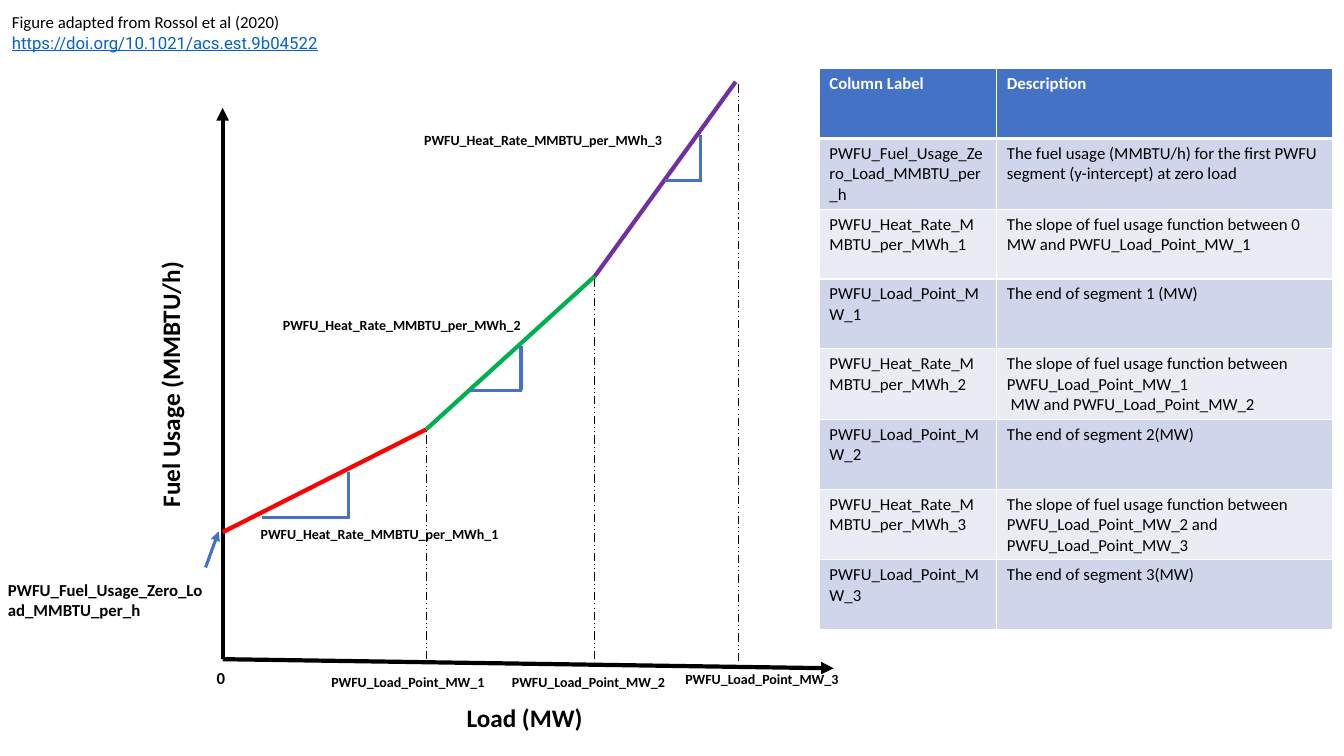
from lxml import etree
from pptx import Presentation
from pptx import util as u
from pptx.dml.color import RGBColor
from pptx.enum import dml, shapes, text
from pptx.oxml.ns import qn

C = {"black": "000000", "white": "FFFFFF", "blue": "4472C4", "red": "FF0000",
     "green": "00B050", "purple": "7030A0", "link": "0563C1",
     "band1": "CFD5EA", "band2": "E9EBF5"}

prs = Presentation()
prs.slide_width, prs.slide_height = u.Cm(33.87), u.Cm(19.05)
s = prs.slides.add_slide(prs.slide_layouts[6])


def write(tf, txt, size=12, color="black", bold=False, font="Calibri"):
    """Fill a text frame, one paragraph per line."""
    tf.text = txt
    for p in tf.paragraphs:
        for r in p.runs:
            r.font.name, r.font.size, r.font.bold = font, u.Pt(size), bold
            r.font.color.rgb = RGBColor.from_string(C[color])


def line(x1, y1, x2, y2, color="black", width=3, arrow=False, dash=None):
    ln = s.shapes.add_connector(shapes.MSO_CONNECTOR.STRAIGHT,
                                u.Cm(x1), u.Cm(y1), u.Cm(x2), u.Cm(y2))
    ln.line.color.rgb = RGBColor.from_string(C[color])
    ln.line.width = u.Pt(width)
    if dash:
        ln.line.dash_style = dash
    spPr = ln._element.spPr
    if arrow:
        etree.SubElement(spPr.find(qn("a:ln")), qn("a:tailEnd"), type="triangle")
    etree.SubElement(spPr, qn("a:effectLst"))


# Axes
x0, y0 = 5.61, 16.61
line(x0, y0, 21.01, 16.84, arrow=True)
line(x0, y0, x0, 2.72, arrow=True)

# Piecewise fuel usage curve
points = [(x0, 13.41), (10.74, 10.82), (14.99, 6.96), (18.54, 2.06)]
for start, end, color in zip(points, points[1:], ("red", "green", "purple")):
    line(*start, *end, color)

# Load point drop lines
for x, bottom, top in [(10.74, y0, 10.87), (14.99, y0, 7.04), (18.62, 16.66, 2.11)]:
    line(x, bottom, x, top, width=0.75, dash=dml.MSO_LINE.DASH_DOT_DOT)

# Slope triangles
for left, right, base, top in [(6.6, 8.79, 13.03, 11.89), (11.84, 13.13, 9.83, 8.71),
                               (16.76, 17.65, 4.55, 3.4)]:
    line(left, base, right + 0.03, base, "blue", 2.25)
    line(right, base, right, top, "blue", 2.25)

# Arrow to the intercept
line(5.18, 14.3, 5.51, 13.39, "blue", 2.25, arrow=True)

# Labels: text, left, top, width, height, size, wrap, rotation
labels = [
    ("Load (MW)", 11.51, 17.58, 3.48, 1.02, 18, False, 0),
    ("Fuel Usage (MMBTU/h)", 0.91, 9.14, 6.76, 1.02, 18, False, 270),
    ("PWFU_Fuel_Usage_Zero_Load_MMBTU_per_h", -0.05, 14.48, 5.54, 1.27, 12, True, 0),
    ("0", 5.21, 16.69, 0.74, 0.76, 12, False, 0),
    ("Figure adapted from Rossol et al (2020)\nhttps://doi.org/10.1021/acs.est.9b04522",
     0.05, 0.18, 8.36, 1.27, 12, False, 0),
]
for i, (x, y) in enumerate([(8.1, 16.84), (12.65, 16.84), (17.02, 16.76)], 1):
    labels.append((f"PWFU_Load_Point_MW_{i}", x, y, 4.45, 0.69, 10, False, 0))
for i, (x, y) in enumerate([(6.32, 13.13), (6.88, 7.85), (10.44, 3.2)], 1):
    labels.append((f"PWFU_Heat_Rate_MMBTU_per_MWh_{i}", x, y, 8.15, 0.69, 10, True, 0))

for txt, x, y, w, h, size, wrap, rotation in labels:
    sp = s.shapes.add_textbox(u.Cm(x), u.Cm(y), u.Cm(w), u.Cm(h))
    sp.rotation = rotation
    tf = sp.text_frame
    tf.word_wrap = wrap
    tf.auto_size = text.MSO_AUTO_SIZE.SHAPE_TO_FIT_TEXT
    is_source = txt.startswith("Figure")
    write(tf, txt, size, bold=not is_source)
    if is_source:
        f = tf.paragraphs[1].runs[0].font
        f.name, f.underline = "Roboto", True
        f.color.rgb = RGBColor.from_string(C["link"])

# Table of column labels
slope = "The slope of fuel usage function between "
rows = [
    ("Column Label", "Description"),
    ("PWFU_Fuel_Usage_Zero_Load_MMBTU_per_h",
     "The fuel usage (MMBTU/h) for the first PWFU segment (y-intercept) at zero load"),
    ("PWFU_Heat_Rate_MMBTU_per_MWh_1", slope + "0 MW and PWFU_Load_Point_MW_1"),
    ("PWFU_Load_Point_MW_1", "The end of segment 1 (MW)"),
    ("PWFU_Heat_Rate_MMBTU_per_MWh_2",
     slope + "PWFU_Load_Point_MW_1\n MW and PWFU_Load_Point_MW_2"),
    ("PWFU_Load_Point_MW_2", "The end of segment 2(MW)"),
    ("PWFU_Heat_Rate_MMBTU_per_MWh_3",
     slope + "PWFU_Load_Point_MW_2 and PWFU_Load_Point_MW_3"),
    ("PWFU_Load_Point_MW_3", "The end of segment 3(MW)"),
]
tbl = s.shapes.add_table(len(rows), 2, u.Cm(20.65), u.Cm(1.73),
                         u.Cm(12.93), u.Cm(14.05)).table
for col, width in zip(tbl.columns, (4.47, 8.46)):
    col.width = u.Cm(width)
for i, row in enumerate(rows):
    tbl.rows[i].height = u.Cm(1.76)
    fill = "blue" if i == 0 else "band1" if i % 2 else "band2"
    for j, txt in enumerate(row):
        cell = tbl.cell(i, j)
        write(cell.text_frame, txt, color="black" if i else "white", bold=i == 0)
        # White borders, thicker under the header
        tcPr = cell._tc.get_or_add_tcPr()
        for side in "LRTB":
            thick = (i, side) in [(0, "B"), (1, "T")]
            ln = etree.SubElement(tcPr, qn(f"a:ln{side}"), w=str(int(u.Pt(3 if thick else 1))))
            etree.SubElement(etree.SubElement(ln, qn("a:solidFill")),
                             qn("a:srgbClr"), val=C["white"])
        cell.fill.solid()
        cell.fill.fore_color.rgb = RGBColor.from_string(C[fill])

prs.save("out.pptx")
